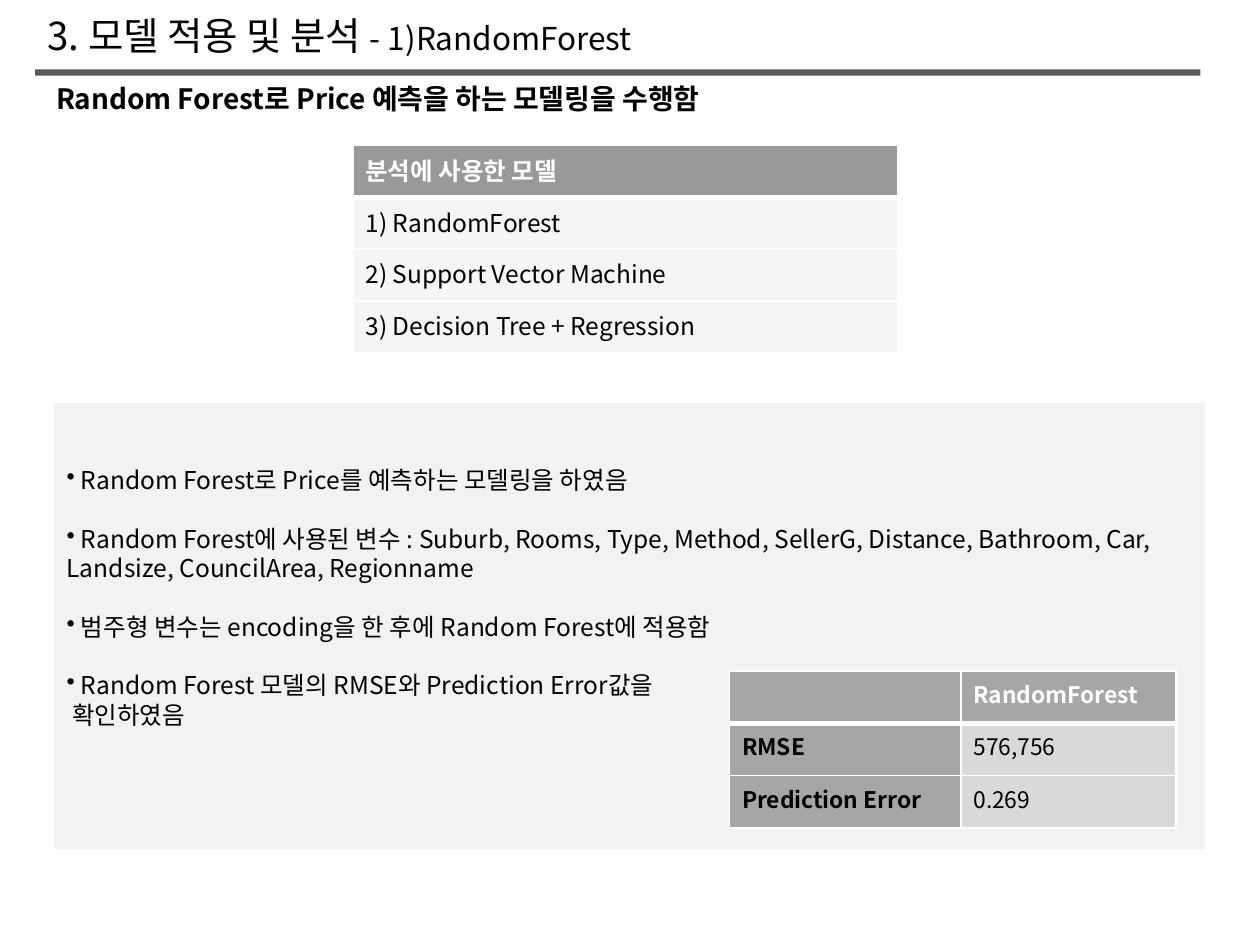
from dataclasses import dataclass

from pptx import Presentation
from pptx.dml.color import RGBColor
from pptx.enum import shapes, text
from pptx.oxml import ns, xmlchemy
from pptx.util import Pt


@dataclass(frozen=True)
class Theme:
    font: str = "Noto Sans CJK KR"
    black: str = "000000"
    white: str = "FFFFFF"
    rule: str = "595959"
    panel: str = "F2F2F2"
    model_header: str = "808080"
    score_header: str = "A6A6A6"
    score_body: str = "D9D9D9"
    title: float = 22
    section: float = 18
    heading: float = 16
    body: float = 14
    score: float = 13


THEME = Theme()


def add_xml(parent, tag, **attributes):
    child = xmlchemy.OxmlElement(tag)
    for name, value in attributes.items():
        child.set(name, str(value))
    parent.append(child)
    return child


class Page:
    def __init__(self, deck, theme):
        self.theme = theme
        self.shapes = deck.slides.add_slide(deck.slide_layouts[6]).shapes

    def style(self, para, size, color=None, bold=False):
        font = para.font
        font.name, font.size, font.bold = self.theme.font, Pt(size), bold
        font.color.rgb = RGBColor.from_string(color or self.theme.black)
        latin = font._element.find(ns.qn("a:latin"))
        east_asian = xmlchemy.OxmlElement("a:ea")
        east_asian.set("typeface", self.theme.font)
        latin.addnext(east_asian)

    def fill(self, target, color, opacity=100):
        target.fill.solid()
        target.fill.fore_color.rgb = RGBColor.from_string(color)
        if opacity < 100:
            # The cell and shape fills share this colour element.
            element = target._tc.tcPr.find(".//" + ns.qn("a:srgbClr"))
            add_xml(element, "a:alpha", val=opacity * 1000)

    def text_line(self, left, top, width, height, spans, bold=False):
        """Add one line made of (wording, size) spans."""
        box = self.shapes.add_textbox(Pt(left), Pt(top), Pt(width), Pt(height))
        frame = box.text_frame
        frame.word_wrap = True
        frame.auto_size = text.MSO_AUTO_SIZE.SHAPE_TO_FIT_TEXT
        para = frame.paragraphs[0]
        self.style(para, spans[0][1], bold=bold)
        for wording, size in spans:
            span = para.add_run()
            span.text = wording
            if size != spans[0][1]:
                span.font.size = Pt(size)

    def rectangle(self, left, top, width, height, color):
        box = self.shapes.add_shape(shapes.MSO_SHAPE.RECTANGLE,
                                    Pt(left), Pt(top), Pt(width), Pt(height))
        box.shadow.inherit = False
        box.line.fill.background()
        self.fill(box, color)
        return box

    def bullet_panel(self, left, top, width, height, items, gap):
        """Add a panel of (wording, has bullet) paragraphs, raised by one gap."""
        frame = self.rectangle(left, top, width, height, self.theme.panel).text_frame
        frame.word_wrap = True
        frame.vertical_anchor = text.MSO_ANCHOR.MIDDLE
        frame.margin_bottom = Pt(3.6 + 2 * gap)
        for index, (wording, bulleted) in enumerate(items):
            para = frame.paragraphs[0] if index == 0 else frame.add_paragraph()
            para.text = " " + wording
            para.alignment = text.PP_ALIGN.LEFT
            if bulleted and index:
                para.space_before = Pt(gap)
            self.style(para, self.theme.body)
            if bulleted:
                bullet = xmlchemy.OxmlElement("a:buChar")
                bullet.set("char", "•")
                para.font._element.addprevious(bullet)

    def borders(self, cell, bottom):
        properties = cell._tc.get_or_add_tcPr()
        for index, side in enumerate("LRTB"):
            width = bottom if side == "B" else 1
            line = xmlchemy.OxmlElement("a:ln" + side)
            line.set("w", str(Pt(width)))
            solid = add_xml(line, "a:solidFill")
            add_xml(solid, "a:srgbClr", val=self.theme.white)
            properties.insert(index, line)

    def table(self, left, top, widths, row_height, rows, size, look):
        """Add a table; look(row, column) gives fill, opacity, text colour, bold."""
        frame = self.shapes.add_table(len(rows), len(widths), Pt(left), Pt(top),
                                      Pt(sum(widths)), Pt(row_height * len(rows)))
        table = frame.table
        table.first_row = table.horz_banding = False
        for column, width in zip(table.columns, widths):
            column.width = Pt(width)
        for r, values in enumerate(rows):
            table.rows[r].height = Pt(row_height)
            for c, value in enumerate(values):
                cell = table.cell(r, c)
                color, opacity, ink, bold = look(r, c)
                self.fill(cell, color, opacity)
                self.borders(cell, bottom=3 if r == 0 else 1)
                para = cell.text_frame.paragraphs[0]
                para.text = value
                self.style(para, size, ink, bold)


def model_look(row, column):
    if row == 0:
        return THEME.model_header, 80, THEME.white, True
    return THEME.panel, 72, THEME.black, False


def score_look(row, column):
    header = row == 0 or column == 0
    return (THEME.score_header if header else THEME.score_body, 100,
            THEME.white if row == 0 else THEME.black, header)


def main():
    deck = Presentation()
    deck.slide_width, deck.slide_height = Pt(720), Pt(540)
    page = Page(deck, THEME)

    page.text_line(20, 3.6, 533, 34, [("3. 모델 적용 및 분석 ", THEME.title),
                                      ("- 1)RandomForest", THEME.section)])
    page.bullet_panel(31, 230.4, 657.5, 255, [
        ("Random Forest로 Price를 예측하는 모델링을 하였음", True),
        ("Random Forest에 사용된 변수 : Suburb, Rooms, Type, Method, SellerG, "
         "Distance, Bathroom, Car, Landsize, CouncilArea, Regionname", True),
        ("범주형 변수는 encoding을 한 후에 Random Forest에 적용함", True),
        ("Random Forest 모델의 RMSE와 Prediction Error값을", True),
        ("확인하였음", False),
    ], gap=16.7)
    page.rectangle(20, 39.6, 666, 3.6, THEME.rule)
    page.table(201.6, 83, [311.5], 29.7, [
        ["분석에 사용한 모델"],
        ["1) RandomForest"],
        ["2) Support Vector Machine"],
        ["3) Decision Tree + Regression"],
    ], THEME.body, model_look)
    page.table(416.9, 383.3, [132.2, 122.8], 30, [
        ["", "RandomForest"],
        ["RMSE", "576,756"],
        ["Prediction Error", "0.269"],
    ], THEME.score, score_look)
    page.text_line(25, 43.2, 675, 26.6, [
        ("Random Forest로 Price 예측을 하는 모델링을 수행함", THEME.heading)], bold=True)

    deck.save("out.pptx")


if __name__ == "__main__":
    main()
